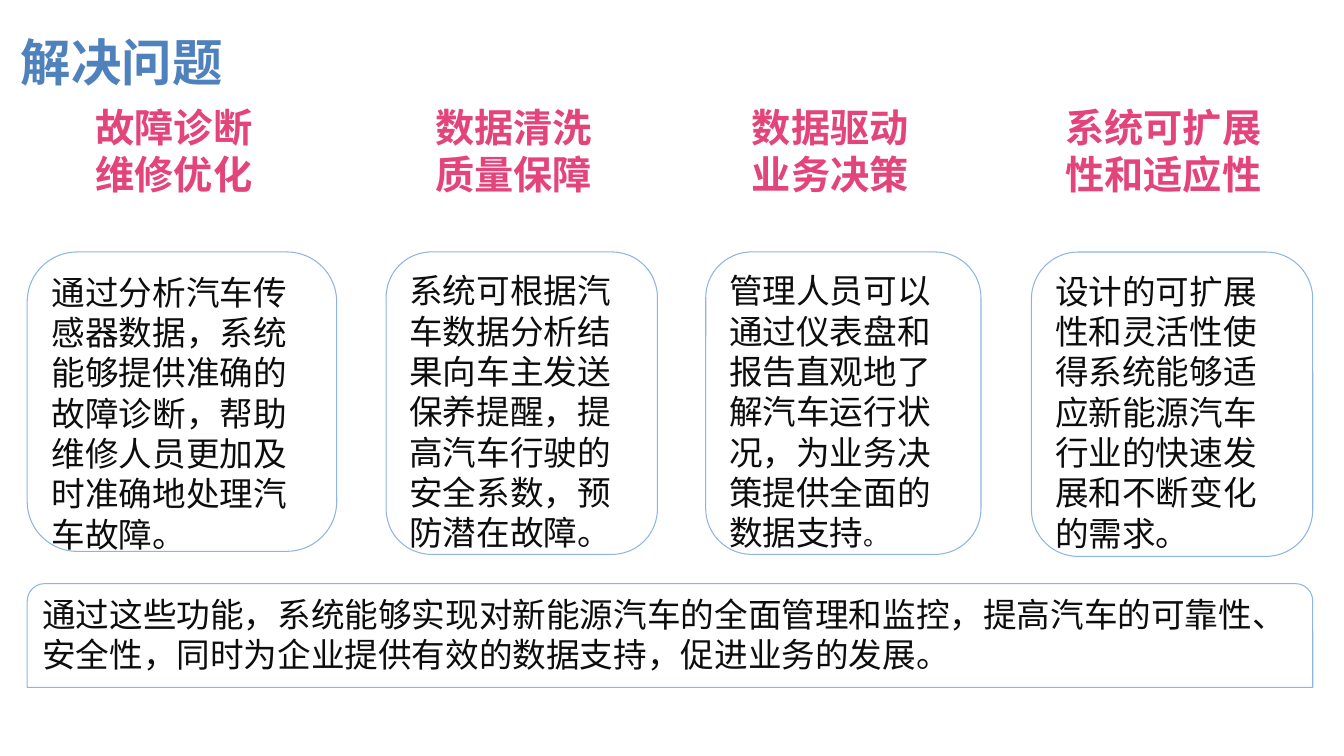
from lxml import etree
from pptx import Presentation
from pptx.dml.color import RGBColor
from pptx.enum import shapes, text
from pptx.oxml import ns
from pptx.util import Inches, Pt

BLUE = RGBColor(0x4F, 0x81, 0xBD)
PINK = RGBColor(0xE3, 0x44, 0x7A)
INK = RGBColor(0x0D, 0x0D, 0x0D)
OUTLINE = RGBColor(0x8E, 0xB4, 0xE3)
LATIN_FONT = "Arial"
CHINESE_FONT = "Noto Sans CJK SC"
MARGIN = 0.27
HEADING_TOP = 0.98
CARD_TOP = 2.5

COLUMNS = [
    ("故障诊断维修优化", (0.85, 2.04, 0.97), (MARGIN, 3.07, 2.97),
     [("通过分析汽车传感器数据，系统能够提供准确的故障诊断，帮助维修人员更加及时准确地处理汽车故障。", 24)]),
    ("数据清洗质量保障", (4.22, 1.91, 1.06), (3.83, 2.69, 3),
     [("系统可根据汽车数据分析结果向车主发送保养提醒，提高汽车行驶的安全系数，预防潜在故障。", 24)]),
    ("数据驱动业务决策", (7.36, 1.86, 1.02), (7, 2.73, 3),
     [("管理人员可以通过仪表盘和报告直观地了解汽车运行状况，为业务决策提供全面的数据支持", 24), ("。", 18)]),
    ("系统可扩展性和适应性", (10.47, 2.27, 1.25), (10.23, 2.79, 3.02),
     [("设计的可扩展性和灵活性使得系统能够适应新能源汽车行业的快速发展和不断变化的需求。", 24)]),
]
SUMMARY = "通过这些功能，系统能够实现对新能源汽车的全面管理和监控，提高汽车的可靠性、安全性，同时为企业提供有效的数据支持，促进业务的发展。"


def write_text(shape, runs, color, bold=False, font_name=LATIN_FONT, spacing=1.2):
    """Fill a shape with one left-aligned paragraph of (wording, size) runs."""
    frame = shape.text_frame
    frame.word_wrap = True
    frame.vertical_anchor = text.MSO_ANCHOR.TOP
    paragraph = frame.paragraphs[0]
    paragraph.alignment = text.PP_ALIGN.LEFT
    paragraph.line_spacing = Pt(runs[0][1] * spacing)
    for wording, size in runs:
        run = paragraph.add_run()
        run.text = wording
        run.font.size = Pt(size)
        run.font.bold = bold
        run.font.name = font_name
        run.font.color.rgb = color
        east_asian = etree.SubElement(run.font._element, ns.qn("a:ea"))
        east_asian.set("typeface", CHINESE_FONT)


def add_label(slide, left, top, width, height, runs, color, **style):
    """Add a bold text box."""
    box = slide.shapes.add_textbox(
        Inches(left), Inches(top), Inches(width), Inches(height))
    write_text(box, runs, color, bold=True, **style)


def add_card(slide, kind, left, top, width, height, runs):
    """Add an outlined shape with body text."""
    card = slide.shapes.add_shape(
        kind, Inches(left), Inches(top), Inches(width), Inches(height))
    card.shadow.inherit = False
    card.fill.background()
    card.line.color.rgb = OUTLINE
    card.line.width = Pt(0.75)
    write_text(card, runs, INK)


def main():
    """Build and save the slide."""
    presentation = Presentation()
    presentation.slide_width = Inches(13.33)
    presentation.slide_height = Inches(7.5)
    slide = presentation.slides.add_slide(presentation.slide_layouts[6])
    add_label(slide, 0.11, 0.21, 2.59, 1.14, [("解决问题", 36)], BLUE,
              font_name=CHINESE_FONT, spacing=1.3)
    for heading, heading_box, card_box, body in COLUMNS:
        left, width, height = heading_box
        add_label(slide, left, HEADING_TOP, width, height, [(heading, 28)], PINK)
        left, width, height = card_box
        add_card(slide, shapes.MSO_SHAPE.ROUNDED_RECTANGLE,
                 left, CARD_TOP, width, height, body)
    add_card(slide, shapes.MSO_SHAPE.ROUND_2_SAME_RECTANGLE,
             MARGIN, 5.79, 12.75, 1.03, [(SUMMARY, 24)])
    presentation.save("out.pptx")


if __name__ == "__main__":
    main()
